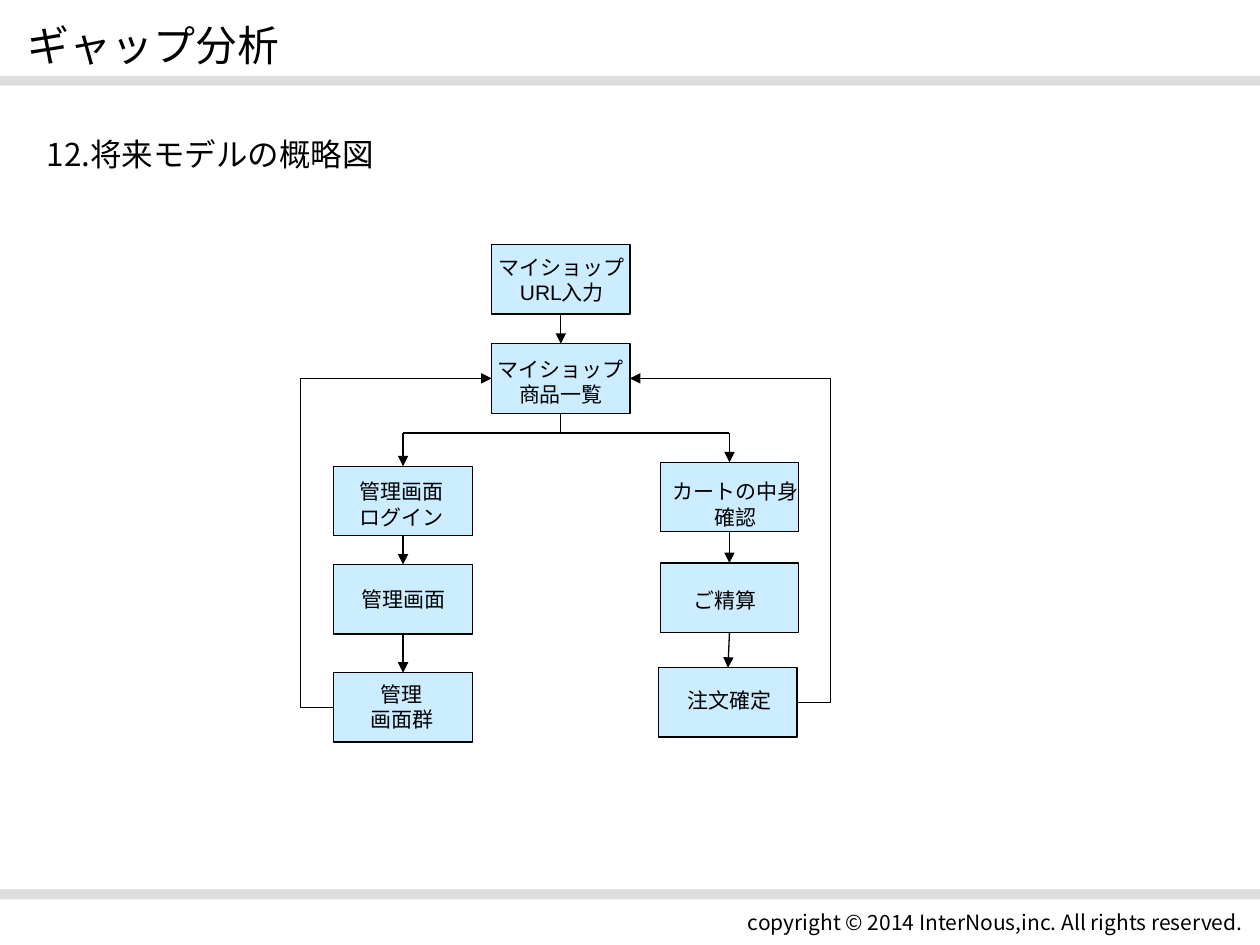
from lxml.etree import SubElement
from pptx import Presentation
from pptx.dml.color import RGBColor
from pptx.enum.shapes import MSO_CONNECTOR, MSO_SHAPE
from pptx.enum.text import MSO_ANCHOR, MSO_AUTO_SIZE, PP_ALIGN
from pptx.oxml.ns import qn
from pptx.util import Cm, Pt

BLACK, BAR_GREY, STEP_BLUE = "000000", "DDDDDD", "CCECFF"
BODY_FONT, LABEL_FONT = "Noto Sans CJK JP", "Arial"
STEP_WIDTH, STEP_HEIGHT = 2.79, 1.4
TOP, LEFT, BOTTOM, RIGHT = range(4)

HEADING_FRAME = {"word_wrap": True, "vertical_anchor": MSO_ANCHOR.MIDDLE}
LABEL_FRAME = {"word_wrap": False, "auto_size": MSO_AUTO_SIZE.SHAPE_TO_FIT_TEXT}

# step: (left, top), label (left, top, width), label lines
STEPS = {
    "entry": ((9.91, 4.93), (9.78, 5, 3.1), ["マイショップ", "URL入力"]),
    "products": ((9.91, 6.93), (9.76, 7.06, 3.1), ["マイショップ", "商品一覧"]),
    "login": ((6.73, 9.4), (6.97, 9.53, 2.26), ["管理画面", "ログイン"]),
    "admin": ((6.73, 11.38), (7, 11.7, 2.26), ["管理画面"]),
    "admin_pages": ((6.73, 13.56), (7.18, 13.61, 1.84), ["管理", "画面群"]),
    "cart": ((13.31, 9.32), (13.28, 9.53, 3.1), ["カートの中身", "確認"]),
    "checkout": ((13.31, 11.35), (13.69, 11.71, 1.84), ["ご精算"]),
    "order": ((13.28, 13.46), (13.58, 13.73, 2.26), ["注文確定"]),
}
FLOWS = [("entry", "products"), ("login", "admin"), ("admin", "admin_pages"),
         ("cart", "checkout"), ("checkout", "order")]


def color(hex_string):
    return RGBColor.from_string(hex_string)


def apply_format(target, values):
    for name, value in values.items():
        setattr(target, name, value)


def add_text(slide, place, lines, size, font, frame_format, align):
    box = slide.shapes.add_textbox(*map(Cm, place))
    frame = box.text_frame
    apply_format(frame, frame_format)
    frame.text = "\n".join(lines)
    for paragraph in frame.paragraphs:
        paragraph.alignment = align
        apply_format(paragraph.font, {"size": Pt(size), "name": font})
        paragraph.font.color.rgb = color(BLACK)


def add_block(slide, kind, place, fill, outline=None):
    block = slide.shapes.add_shape(kind, *map(Cm, place))
    block.shadow.inherit = False
    block.fill.solid()
    block.fill.fore_color.rgb = color(fill)
    if outline:
        block.line.color.rgb = color(outline)
        block.line.width = Pt(0.75)
    else:
        block.line.fill.background()
    return block


def add_step(slide, corner, label_place, lines):
    step = add_block(slide, MSO_SHAPE.FLOWCHART_PROCESS,
                     (*corner, STEP_WIDTH, STEP_HEIGHT), STEP_BLUE, BLACK)
    label_height = 0.76 if len(lines) == 1 else 1.27
    add_text(slide, (*label_place, label_height), lines, 12, LABEL_FONT,
             LABEL_FRAME, PP_ALIGN.CENTER)
    return step


def side_point(step, side):
    """Middle of one side of a step."""
    across = {LEFT: 0, RIGHT: step.width}.get(side, step.width // 2)
    down = {TOP: 0, BOTTOM: step.height}.get(side, step.height // 2)
    return step.left + across, step.top + down


def add_link(slide, start, end, arrow=True, bend=None):
    """Each end is a point or a (step, side) pair; bend makes an elbow."""
    ends = [side_point(*e) if e[1] in range(4) else e for e in (start, end)]
    kind = MSO_CONNECTOR.STRAIGHT if bend is None else MSO_CONNECTOR.ELBOW
    link = slide.shapes.add_connector(kind, *ends[0], *ends[1])
    link.line.color.rgb = color(BLACK)
    link.line.width = Pt(0.75)
    properties = link._element.spPr
    if arrow:
        SubElement(properties.find(qn("a:ln")), qn("a:tailEnd"), type="triangle")
    SubElement(properties, qn("a:effectLst"))
    if bend is not None:
        adjustments = properties.find(qn("a:prstGeom")).get_or_add_avLst()
        SubElement(adjustments, qn("a:gd"), name="adj1",
                   fmla=f"val {round(bend * 100000)}")
        return
    for given, point, connect in ((start, ends[0], link.begin_connect),
                                  (end, ends[1], link.end_connect)):
        if given != point:
            connect(*given)


def add_branch(slide, steps):
    """Trunk below the product list, splitting to both columns."""
    level = Cm(8.73)
    trunk_x, _ = side_point(steps["products"], BOTTOM)
    add_link(slide, (steps["products"], BOTTOM), (trunk_x, level), arrow=False)
    corners = []
    for name in ("login", "cart"):
        corner = (side_point(steps[name], TOP)[0], level)
        add_link(slide, corner, (steps[name], TOP))
        corners.append(corner)
    add_link(slide, *corners, arrow=False)


def main():
    deck = Presentation()
    apply_format(deck, {"slide_width": Cm(25.4), "slide_height": Cm(19.05)})
    slide = deck.slides.add_slide(deck.slide_layouts[6])

    # Headings, footer and bars
    for place, text, size, align in (
        ((0.3, 0.13, 17.8, 1.55), "ギャップ分析", 24, PP_ALIGN.LEFT),
        ((7.51, 18.12, 17.8, 0.94),
         "copyright © 2014 InterNous,inc. All rights reserved.", 12, PP_ALIGN.RIGHT),
        ((0.69, 2.33, 17.8, 1.55), "12.将来モデルの概略図", 18, PP_ALIGN.LEFT),
    ):
        add_text(slide, place, [text], size, BODY_FONT, HEADING_FRAME, align)
    for bar_top in (1.53, 17.93):
        add_block(slide, MSO_SHAPE.RECTANGLE, (0, bar_top, 25.5, 0.2), BAR_GREY)

    # Steps
    steps = {name: add_step(slide, *parts) for name, parts in STEPS.items()}

    # Downward flows and the split
    for upper, lower in FLOWS:
        add_link(slide, (steps[upper], BOTTOM), (steps[lower], TOP))
    add_branch(slide, steps)

    # Returns to the product list
    for name, side, bend in (("order", RIGHT, -0.2), ("admin_pages", LEFT, -0.21)):
        add_link(slide, (steps[name], side), (steps["products"], side), bend=bend)

    deck.save("out.pptx")


if __name__ == "__main__":
    main()
